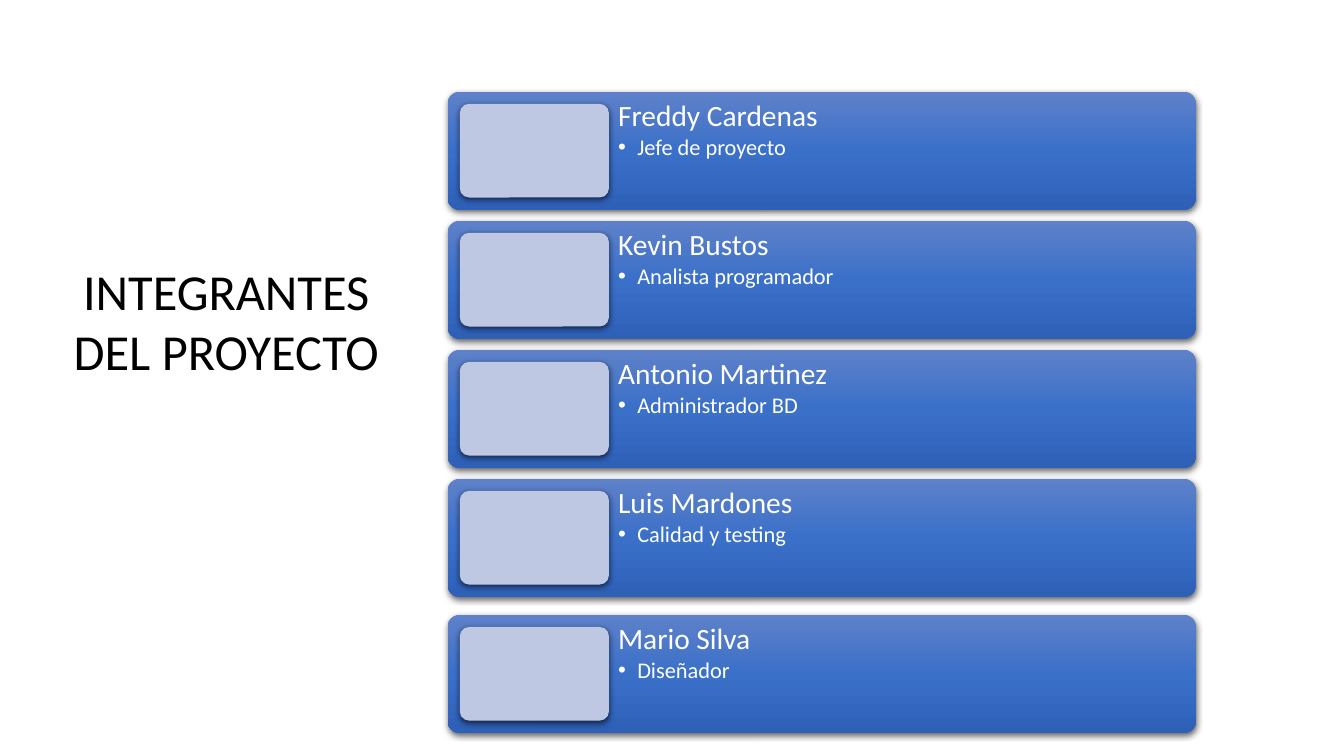
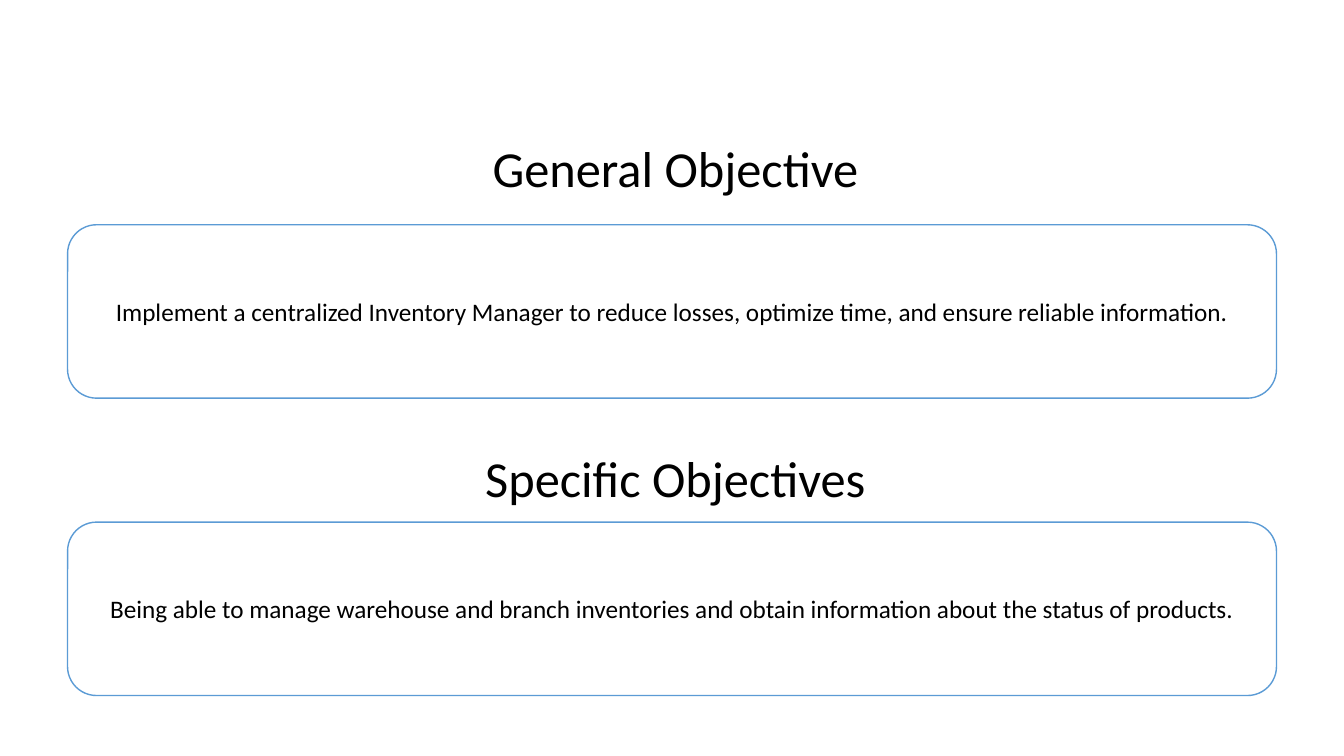
from copy import deepcopy

from pptx import Presentation
from pptx.dml.color import RGBColor
from pptx.enum.shapes import MSO_SHAPE as SHAPE
from pptx.enum.text import MSO_ANCHOR as ANCHOR, MSO_AUTO_SIZE as AUTO, PP_ALIGN as ALIGN
from pptx.oxml import parse_xml
from pptx.oxml.ns import nsdecls, qn
from pptx.util import Inches, Pt

# Shared style
FONT = "Calibri"
BLACK = RGBColor(0x00, 0x00, 0x00)
WHITE = RGBColor(0xFF, 0xFF, 0xFF)
OUTLINE = RGBColor(0x5B, 0x9B, 0xD5)
PHOTO = RGBColor(0xBF, 0xC8, 0xE3)
BAR_STOPS = [
    (0, RGBColor(0x5E, 0x81, 0xC9)),
    (0.5, RGBColor(0x3B, 0x70, 0xC9)),
    (1, RGBColor(0x2E, 0x60, 0xB8)),
]
TITLE = dict(size=36, align=ALIGN.CENTER)
SHADOW = (
    f'<a:outerShdw {nsdecls("a")} blurRad="57150" dist="19050" dir="5400000" '
    'algn="ctr" rotWithShape="0"><a:srgbClr val="000000">'
    '<a:alpha val="62000"/></a:srgbClr></a:outerShdw>'
)


def write(tf, text, size=18, color=BLACK, align=ALIGN.LEFT, anchor=ANCHOR.TOP,
          auto=AUTO.NONE, inset=(0.1, 0.05), spacing=None, before=None,
          bullet=False, new=False):
    """Write one formatted paragraph; new=True adds it below the others."""
    tf.word_wrap, tf.auto_size, tf.vertical_anchor = True, auto, anchor
    tf.margin_left = tf.margin_right = Inches(inset[0])
    tf.margin_top = tf.margin_bottom = Inches(inset[1])
    p = tf.add_paragraph() if new else tf.paragraphs[0]
    p.alignment, p.line_spacing = align, spacing
    if before is not None:
        p.space_before = Pt(before)
    if bullet:
        p.level = 1
        pPr = p._p.get_or_add_pPr()
        pPr.set("marL", str(Inches(0.19)))
        pPr.set("indent", str(-Inches(0.19)))
        pPr.append(parse_xml(f'<a:buFont {nsdecls("a")} typeface="Arial"/>'))
        pPr.append(parse_xml(f'<a:buChar {nsdecls("a")} char="•"/>'))
    r = p.add_run()
    r.text = text
    r.font.name, r.font.size, r.font.color.rgb = FONT, Pt(size), color


def add_card(s, x, y, w, h, radius, fill=None, line=None, shadow=False):
    """Add a rounded card; without a fill colour it gets the bar gradient."""
    sp = s.shapes.add_shape(SHAPE.ROUNDED_RECTANGLE, Inches(x), Inches(y), Inches(w), Inches(h))
    sp.adjustments[0] = radius
    if fill is not None:
        sp.fill.solid()
        sp.fill.fore_color.rgb = fill
    else:
        sp.fill.gradient()
        sp.fill.gradient_angle = 270
        stops = sp._element.spPr.find(".//" + qn("a:gsLst"))
        stops.insert(1, deepcopy(stops[0]))
        for stop, (position, color) in zip(sp.fill.gradient_stops, BAR_STOPS):
            stop.position, stop.color.rgb = position, color
    if line is not None:
        sp.line.color.rgb, sp.line.width = line, Pt(1)
    else:
        sp.line.fill.background()
    sp.shadow.inherit = False
    if shadow:
        sp._element.spPr.find(qn("a:effectLst")).append(parse_xml(SHADOW))
    return sp


prs = Presentation()
prs.slide_width, prs.slide_height = Inches(13.33), Inches(7.5)
blank = prs.slide_layouts[6]

# Slide 1: team members
s = prs.slides.add_slide(blank)
tb = s.shapes.add_textbox(Inches(0.61), Inches(2.53), Inches(3.27), Inches(1.31))
write(tb.text_frame, "INTEGRANTES DEL PROYECTO", auto=AUTO.SHAPE_TO_FIT_TEXT, **TITLE)

BAR_X, BAR_W, BAR_H, PAD, PHOTO_W = 4.44, 7.42, 1.17, 0.12, 1.48
TEXT_X = BAR_X + PAD + PHOTO_W
FIRST_Y, PITCH, LAST_Y = 0.91, 1.28, 6.1
team = [
    ("Freddy Cardenas", "Jefe de proyecto"),
    ("Kevin Bustos", "Analista programador"),
    ("Antonio Martinez", "Administrador BD"),
    ("Luis Mardones", "Calidad y testing"),
    ("Mario Silva", "Diseñador"),
]
member = dict(color=WHITE, inset=(0.09, 0.09), spacing=0.9)
for i, (name, role) in enumerate(team):
    y = LAST_Y if i == len(team) - 1 else FIRST_Y + i * PITCH
    add_card(s, BAR_X, y, BAR_W, BAR_H, 0.1, shadow=True)
    add_card(s, BAR_X + PAD, y + PAD, PHOTO_W, BAR_H - 2 * PAD, 0.1, fill=PHOTO, shadow=True)
    tb = s.shapes.add_textbox(Inches(TEXT_X), Inches(y),
                              Inches(BAR_X + BAR_W - TEXT_X), Inches(BAR_H))
    write(tb.text_frame, name, size=21, **member)
    write(tb.text_frame, role, size=16, before=2.4, bullet=True, new=True, **member)

# Slide 2: objectives
s = prs.slides.add_slide(blank)
objectives = [
    (1.31, "General Objective", 2.23,
     "Implement a centralized Inventory Manager to reduce losses, optimize time, "
     "and ensure reliable information."),
    (4.39, "Specific Objectives", 5.18,
     "Being able to manage warehouse and branch inventories and obtain information "
     "about the status of products."),
]
for title_y, title, card_y, text in objectives:
    tb = s.shapes.add_textbox(Inches(0.17), Inches(title_y), Inches(13.06), Inches(0.71))
    write(tb.text_frame, title, auto=AUTO.SHAPE_TO_FIT_TEXT, **TITLE)
    sp = add_card(s, 0.67, card_y, 11.99, 1.72, 0.167, fill=WHITE, line=OUTLINE)
    write(sp.text_frame, text, align=ALIGN.CENTER, anchor=ANCHOR.MIDDLE)

prs.save("out.pptx")
